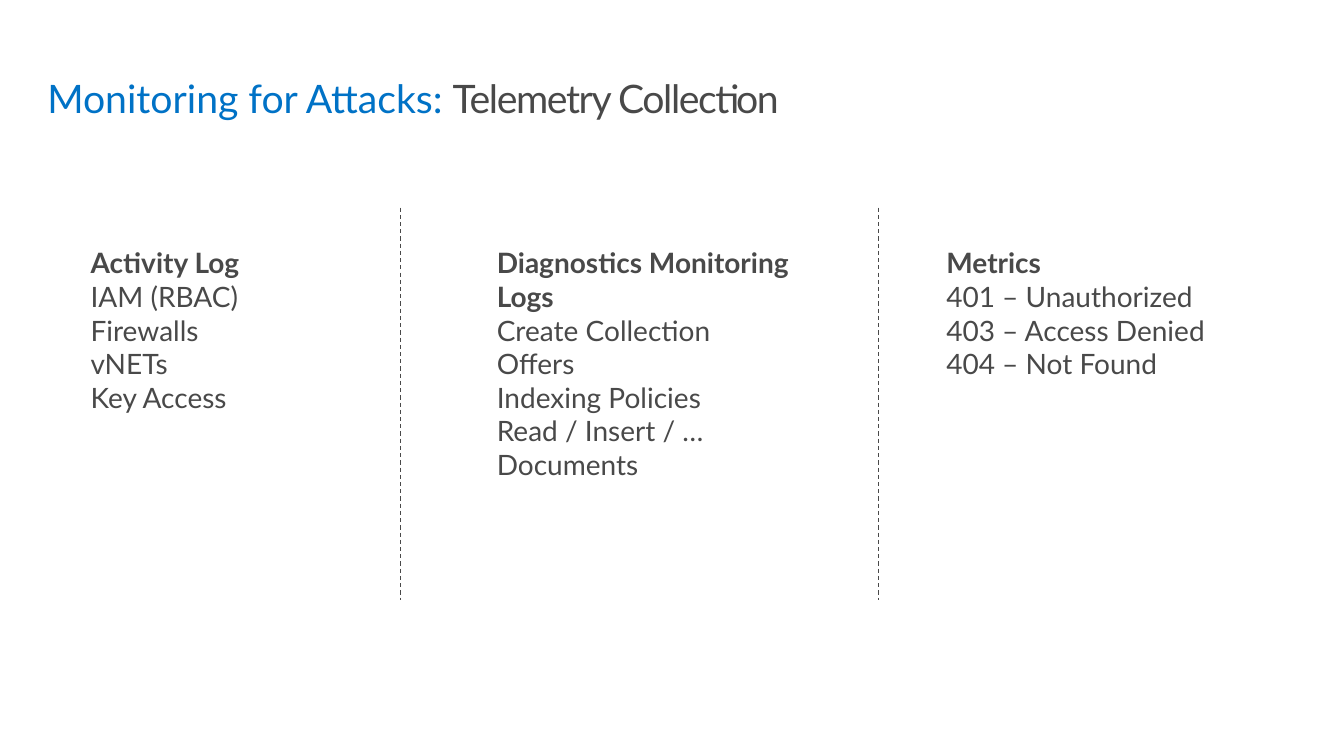
"""Build the telemetry collection slide."""
import pptx
import pptx.util
import pptx.dml.color
import pptx.enum.dml
import pptx.enum.shapes
import pptx.enum.text
import pptx.oxml.ns
import lxml.etree
from dataclasses import dataclass

TITLE = ("Monitoring for Attacks: ", "Telemetry Collection")
LISTS = [
    (57.6, 212.4, "Activity Log",
     ["IAM (RBAC)", "Firewalls", "vNETs", "Key Access"]),
    (347.8, 264.2, "Diagnostics Monitoring Logs",
     ["Create Collection", "Offers", "Indexing Policies",
      "Read / Insert / … Documents"]),
    (668.9, 264.2, "Metrics",
     ["401 – Unauthorized", "403 – Access Denied", "404 – Not Found"]),
]
RULES = [285.8, 627.8]
RULE_TOP, RULE_END = 148.3, 428.4
LIST_TOP, LINE = 172.1, 24

Pt = pptx.util.Pt
RGB = pptx.dml.color.RGBColor.from_string


@dataclass
class Theme:
    font: str = "Lato"
    ink: str = "494949"
    blue: str = "0072C6"
    head: int = 28
    body: int = 20
    rule: float = 0.75


theme = Theme()


def style(run, size, color, bold=False):
    font = run.font
    font.name, font.size, font.bold = theme.font, Pt(size), bold
    font.color.rgb = RGB(color)


def add_title(slide):
    box = slide.shapes.title
    box.left, box.top, box.width, box.height = map(Pt, (26.6, 18, 907.2, 104.4))
    frame = box.text_frame
    frame.auto_size = pptx.enum.text.MSO_AUTO_SIZE.NONE
    frame.vertical_anchor = pptx.enum.text.MSO_ANCHOR.MIDDLE
    para = frame.paragraphs[0]
    para.alignment = pptx.enum.text.PP_ALIGN.LEFT
    for text, color in zip(TITLE, (theme.blue, theme.ink)):
        run = para.add_run()
        run.text = text
        style(run, theme.head, color)
    run.font._element.set("spc", "-100")


def add_list(slide, left, width, head, items):
    lines = [head, *items]
    high = LINE * (len(lines) + 2)
    box = slide.shapes.add_textbox(Pt(left), Pt(LIST_TOP), Pt(width), Pt(high))
    frame = box.text_frame
    frame.word_wrap = True
    frame.text = "\n".join(lines)
    for row, para in enumerate(frame.paragraphs):
        style(para.runs[0], theme.body, theme.ink, row == 0)


def add_rule(slide, x):
    kind = pptx.enum.shapes.MSO_CONNECTOR.STRAIGHT
    rule = slide.shapes.add_connector(
        kind, Pt(x), Pt(RULE_TOP), Pt(x), Pt(RULE_END))
    rule.line.color.rgb = RGB(theme.ink)
    rule.line.width = Pt(theme.rule)
    rule.line.dash_style = pptx.enum.dml.MSO_LINE.DASH
    lxml.etree.SubElement(
        rule._element.spPr, pptx.oxml.ns.qn("a:effectLst"))


def main():
    deck = pptx.Presentation()
    deck.slide_width, deck.slide_height = Pt(960), Pt(540)
    slide = deck.slides.add_slide(deck.slide_layouts[5])
    add_title(slide)
    for part in LISTS:
        add_list(slide, *part)
    for x in RULES:
        add_rule(slide, x)
    deck.save("out.pptx")


if __name__ == "__main__":
    main()
